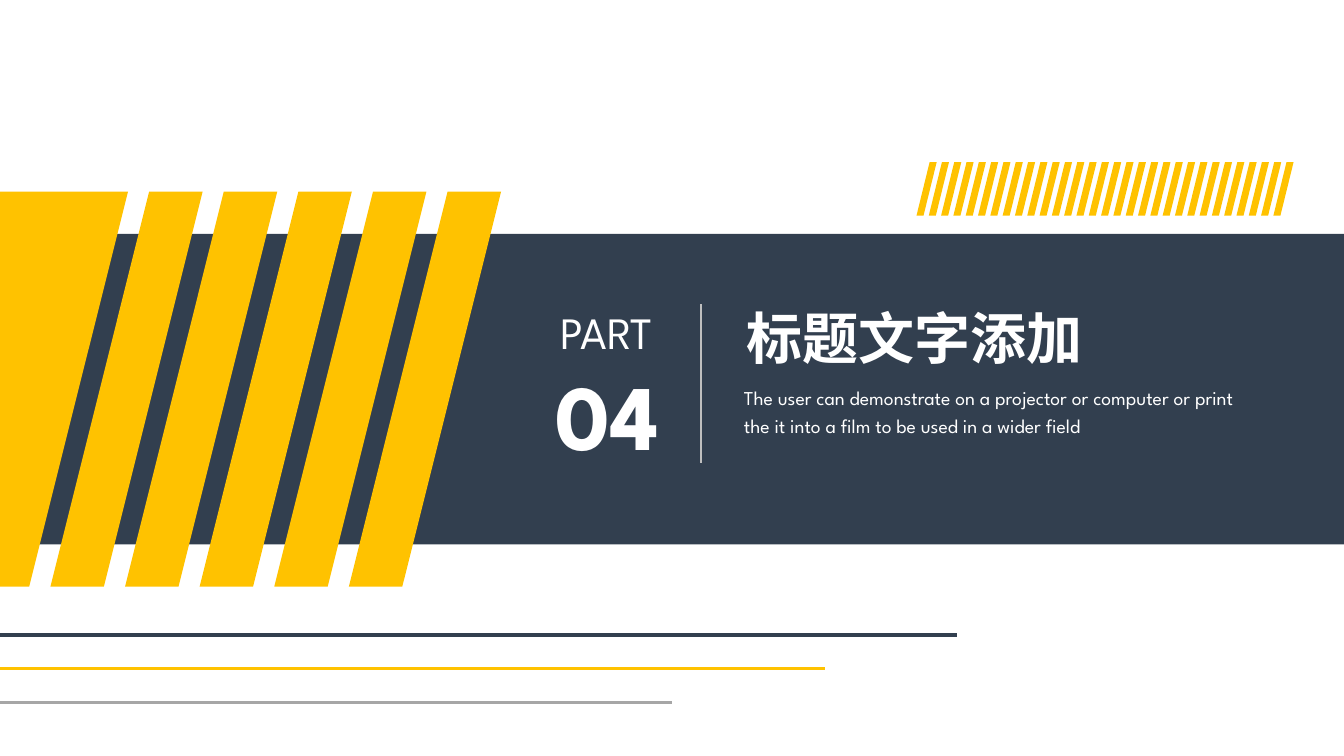
from lxml.etree import SubElement
from pptx import Presentation
from pptx.dml.color import RGBColor
from pptx.enum.shapes import MSO_CONNECTOR, MSO_SHAPE
from pptx.enum.text import MSO_AUTO_SIZE, PP_ALIGN
from pptx.oxml.ns import qn
from pptx.util import Inches, Pt

NAVY = RGBColor(0x32, 0x3F, 0x4F)
YELLOW = RGBColor(0xFF, 0xC2, 0x00)
GRAY = RGBColor(0xA6, 0xA6, 0xA6)
SILVER = RGBColor(0xBF, 0xBF, 0xBF)
WHITE = RGBColor(0xFF, 0xFF, 0xFF)
LATIN_FONT = "League Spartan"
CHINESE_FONT = "Noto Sans CJK SC"


def paint(shape, color):
    shape.shadow.inherit = False
    shape.fill.solid()
    shape.fill.fore_color.rgb = color
    shape.line.fill.background()


def add_stripe(slide, left, top, width, height, slant):
    """Draw a leaning stripe; left is its bottom left corner."""
    corners = [(left + slant, top), (left + slant + width, top),
               (left + width, top + height), (left, top + height)]
    points = [(Inches(x), Inches(y)) for x, y in corners]
    builder = slide.shapes.build_freeform(*points[0])
    builder.add_line_segments(points[1:], close=True)
    paint(builder.convert_to_shape(), YELLOW)


def add_line(slide, start, end, color, weight):
    line = slide.shapes.add_connector(
        MSO_CONNECTOR.STRAIGHT, *map(Inches, start + end))
    line.line.color.rgb = color
    line.line.width = Pt(weight)
    SubElement(line._element.spPr, qn("a:effectLst"))


def add_text(slide, box, lines, font_name=LATIN_FONT, wrap=False,
             align=PP_ALIGN.LEFT, spacing=None):
    """Write lines given as (text, size, bold)."""
    frame = slide.shapes.add_textbox(*map(Inches, box)).text_frame
    frame.word_wrap = wrap
    frame.auto_size = MSO_AUTO_SIZE.SHAPE_TO_FIT_TEXT
    for index, (text, size, bold) in enumerate(lines):
        paragraph = frame.paragraphs[0] if index == 0 else frame.add_paragraph()
        paragraph.text = text
        paragraph.alignment = align
        paragraph.line_spacing = spacing
        font = paragraph.font
        font.name = font_name
        font.size = Pt(size)
        font.bold = bold
        font.color.rgb = WHITE
        east_asian = SubElement(font._element, qn("a:ea"))
        east_asian.set("typeface", font_name)


def add_band(slide, left, top, width, height):
    band = slide.shapes.add_shape(
        MSO_SHAPE.RECTANGLE, *map(Inches, (left, top, width, height)))
    paint(band, NAVY)


def add_large_stripes(slide, left, top, height):
    slant = 0.98
    for index in range(5):
        add_stripe(slide, left + 0.5 + index * 0.74, top, 0.53, height, slant)
    # Wide block bleeding over the left edge
    add_stripe(slide, left - 1.13, top, 1.42, height, slant)


def add_small_stripes(slide, left, top, width, height):
    count, stripe_width, slant = 30, 0.07, 0.13
    step = (width - stripe_width - slant) / (count - 1)
    for index in range(count):
        add_stripe(slide, left + index * step, top, stripe_width, height, slant)


def add_footer_lines(slide, left, top):
    lengths = [(9.49, NAVY), (8.18, YELLOW), (6.67, GRAY)]
    for index, (length, color) in enumerate(lengths):
        y = top + index * 0.335
        add_line(slide, (left, y), (left + length, y), color, 2.25)


def add_heading(slide, left, top):
    # Part number
    add_text(slide, (left, top + 0.01, 1.26, 1.75),
             [("PART", 32, False), ("04", 66, True)], align=PP_ALIGN.CENTER)
    # Divider
    add_line(slide, (left + 1.56, top + 0.06), (left + 1.56, top + 1.63),
             SILVER, 1.5)
    # Title and description
    add_text(slide, (left + 1.89, top + 0.77, 5.23, 0.95),
             [("The user can demonstrate on a projector or computer or print "
               "the it into a film to be used in a wider field", 14, False)],
             wrap=True, spacing=1.2)
    add_text(slide, (left + 1.92, top, 3.57, 0.77),
             [("标题文字添加", 40, True)], font_name=CHINESE_FONT)


def build_section_slide(presentation):
    slide = presentation.slides.add_slide(presentation.slide_layouts[6])
    add_band(slide, 0, 2.32, 13.33, 3.08)
    add_large_stripes(slide, 0, 1.9, 3.92)
    add_footer_lines(slide, 0, 6.3)
    add_small_stripes(slide, 9.09, 1.61, 3.74, 0.53)
    add_heading(slide, 5.39, 2.96)


def main():
    presentation = Presentation()
    presentation.slide_width = Inches(13.33)
    presentation.slide_height = Inches(7.5)
    build_section_slide(presentation)
    presentation.save("out.pptx")


if __name__ == "__main__":
    main()
